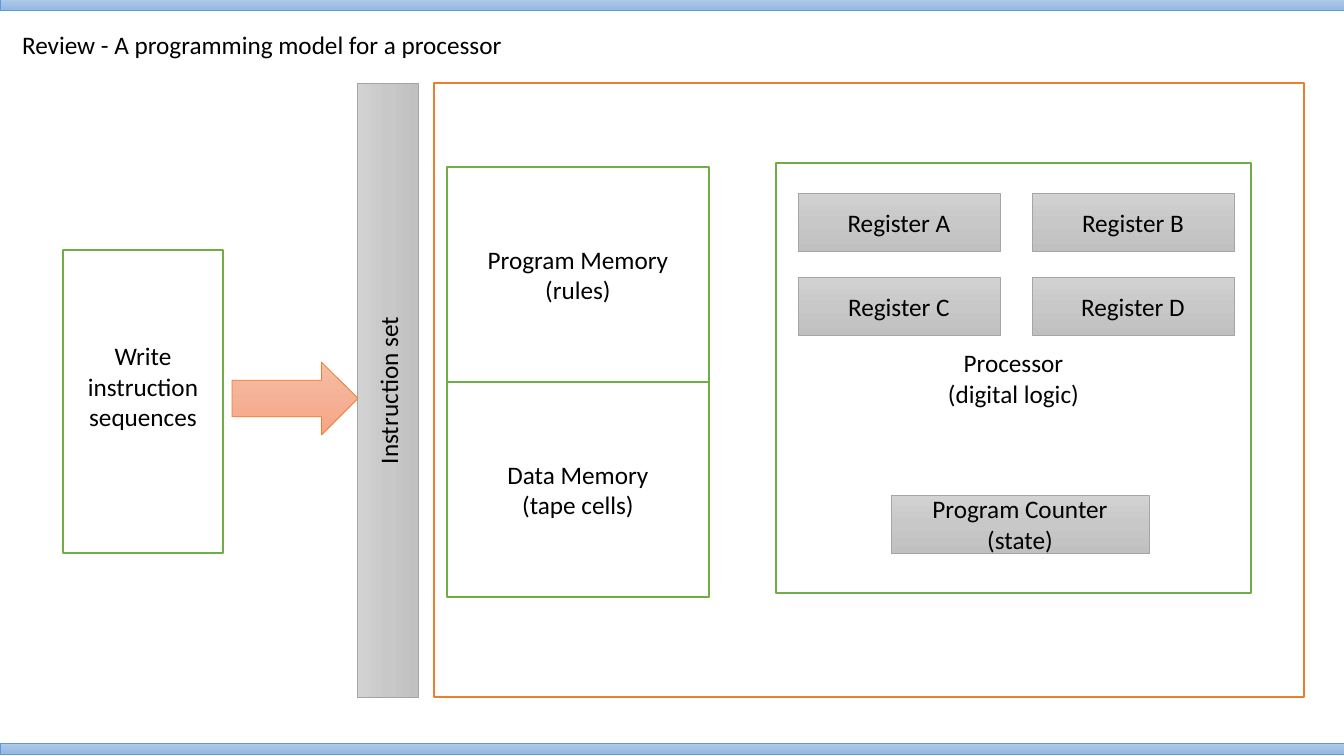
from copy import deepcopy
from dataclasses import dataclass
from typing import Optional

from pptx import Presentation
from pptx.dml.color import RGBColor
from pptx.enum.shapes import MSO_SHAPE
from pptx.enum.text import MSO_ANCHOR, MSO_AUTO_SIZE, PP_ALIGN
from pptx.shapes.autoshape import Shape
from pptx.shapes.shapetree import GroupShapes, SlideShapes
from pptx.slide import Slide
from pptx.text.text import TextFrame
from pptx.util import Emu, Pt


@dataclass(frozen=True)
class Look:
    fill: tuple[str, ...]
    line: str
    width: float


@dataclass(frozen=True)
class Theme:
    font: str = "Calibri"
    size: int = 18
    ink: str = "000000"
    frame: Look = Look(("FFFFFF",), "ED7D31", 1)
    panel: Look = Look(("FFFFFF",), "70AD47", 1)
    bar: Look = Look(("B1CBE9", "A3C1E5", "93B9E4"), "5B9BD5", 0.5)
    metal: Look = Look(("D2D2D2", "C8C8C8", "C0C0C0"), "A5A5A5", 0.5)
    arrow: Look = Look(("F7BDA5", "F5B196", "F8A582"), "ED7D31", 0.5)


@dataclass(frozen=True)
class Box:
    left: int
    top: int
    width: int
    height: int
    look: Look
    text: str = ""
    kind: MSO_SHAPE = MSO_SHAPE.RECTANGLE
    turn: int = 0
    foot: Optional[int] = None


THEME = Theme()
SCALE = 914400 / 100.8
WIDTH, HEIGHT = 1344, 756


def px(count: int) -> Emu:
    return Emu(round(count * SCALE))


def paint(shape: Shape, look: Look) -> None:
    fill = shape.fill
    if len(look.fill) == 1:
        fill.solid()
        fill.fore_color.rgb = RGBColor.from_string(look.fill[0])
    else:
        fill.gradient()
        fill.gradient_angle = 270
        first = shape.element.spPr.find(".//{*}gs")
        first.addnext(deepcopy(first))
        last = len(look.fill) - 1
        for rank, (stop, color) in enumerate(zip(fill.gradient_stops, look.fill)):
            stop.position = rank / last
            stop.color.rgb = RGBColor.from_string(color)
    shape.line.color.rgb = RGBColor.from_string(look.line)
    shape.line.width = Pt(look.width)
    shape.shadow.inherit = False


def write(frame: TextFrame, text: str, align: PP_ALIGN, anchor: MSO_ANCHOR) -> None:
    frame.text = text
    frame.word_wrap = True
    frame.auto_size = MSO_AUTO_SIZE.NONE
    frame.vertical_anchor = anchor
    for line in frame.paragraphs:
        line.alignment = align
        for run in line.runs:
            run.font.name = THEME.font
            run.font.size = Pt(THEME.size)
            run.font.color.rgb = RGBColor.from_string(THEME.ink)


def draw(shapes: SlideShapes | GroupShapes, box: Box) -> None:
    shape = shapes.add_shape(
        box.kind, px(box.left), px(box.top), px(box.width), px(box.height)
    )
    shape.rotation = box.turn
    paint(shape, box.look)
    if box.text:
        write(shape.text_frame, box.text, PP_ALIGN.CENTER, MSO_ANCHOR.MIDDLE)
    if box.foot is not None:
        shape.text_frame.margin_bottom = px(box.foot)


def head(slide: Slide, text: str) -> None:
    title = slide.shapes.title
    title.left, title.top = px(12), px(24)
    title.width, title.height = px(1238), px(42)
    write(title.text_frame, text, PP_ALIGN.LEFT, MSO_ANCHOR.TOP)


def main() -> None:
    deck = Presentation()
    deck.slide_width, deck.slide_height = px(WIDTH), px(HEIGHT)
    slide = deck.slides.add_slide(deck.slide_layouts[5])
    head(slide, "Review - A programming model for a processor")

    draw(slide.shapes, Box(434, 83, 870, 614, THEME.frame))
    for top in (-1, 743):
        draw(slide.shapes, Box(0, top, WIDTH, 11, THEME.bar))

    core = slide.shapes.add_group_shape().shapes
    draw(core, Box(776, 163, 475, 430, THEME.panel, "Processor\n(digital logic)"))
    draw(core, Box(891, 495, 258, 58, THEME.metal, "Program Counter\n(state)"))
    for rank, name in enumerate("ABCD"):
        row, column = divmod(rank, 2)
        left, top = 798 + column * 234, 193 + row * 84
        draw(core, Box(left, top, 202, 58, THEME.metal, f"Register {name}"))

    stores = ("Program Memory\n(rules)", "Data Memory\n(tape cells)")
    for row, text in enumerate(stores):
        draw(slide.shapes, Box(447, 167 + row * 215, 262, 215, THEME.panel, text))

    steps = (
        Box(81, 360, 614, 61, THEME.metal, "Instruction set", turn=270),
        Box(232, 362, 126, 73, THEME.arrow, kind=MSO_SHAPE.RIGHT_ARROW),
        Box(63, 250, 160, 303, THEME.panel, "Write\ninstruction\nsequences", foot=36),
    )
    for step in steps:
        draw(slide.shapes, step)

    deck.save("out.pptx")


if __name__ == "__main__":
    main()
